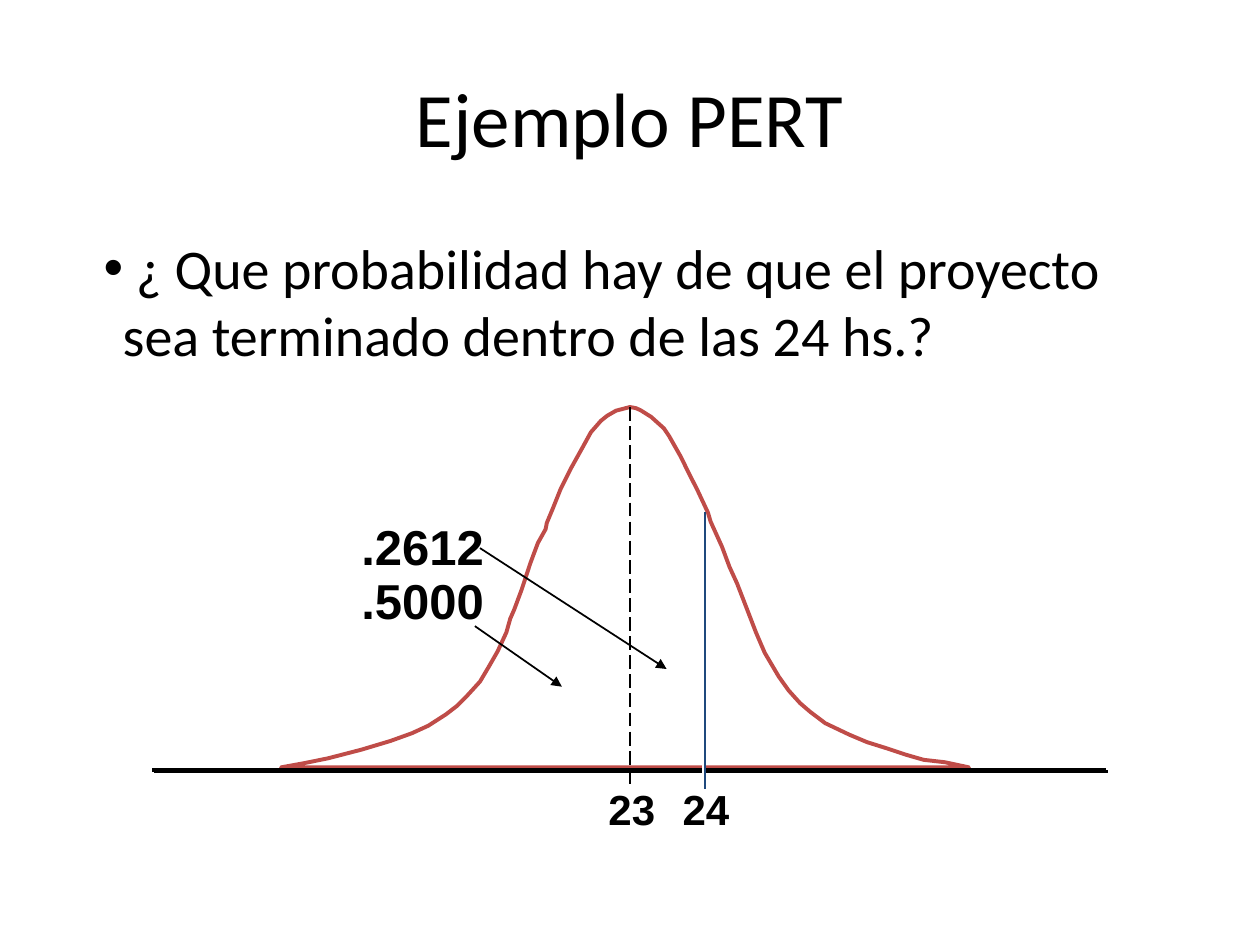
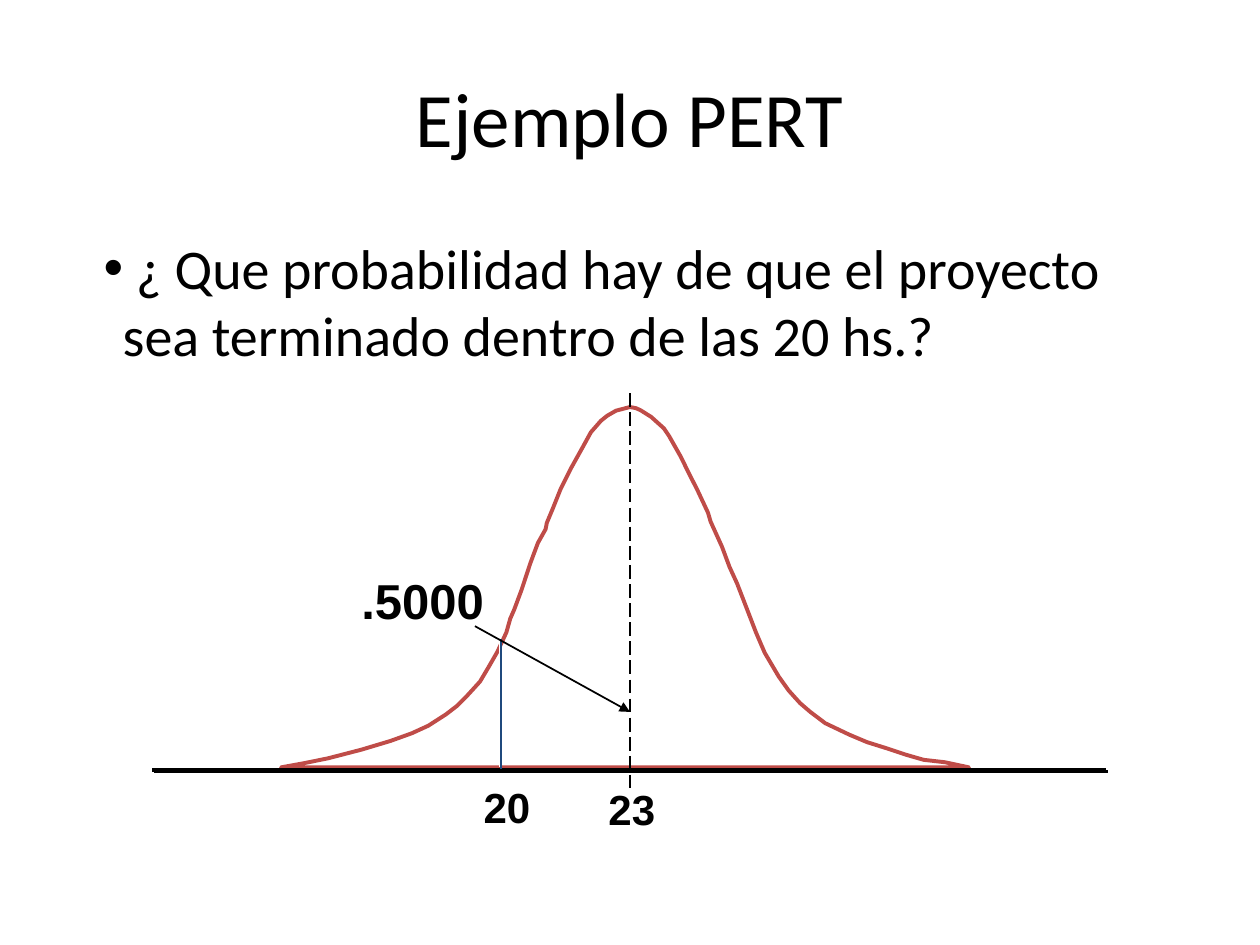
import pptx
import pptx.dml.color
import pptx.enum.dml
import pptx.enum.shapes
import pptx.enum.text
import pptx.oxml
import pptx.oxml.ns
import pptx.util
from dataclasses import dataclass


@dataclass(frozen=True)
class Theme:
    black: str = "000000"
    white: str = "FFFFFF"
    curve: str = "BF4C48"
    shadow: str = "1F497D"
    text_font: str = "Calibri"
    label_font: str = "Arial"
    title_size: float = 44
    question_size: float = 32
    value_size: float = 28
    hour_size: float = 24
    thin: float = 1
    thick: float = 2.25


THEME = Theme()
TITLE = "Ejemplo PERT"
QUESTION = " ¿ Que probabilidad hay de que el proyecto sea terminado dentro de las {} hs.?"
TITLE_BOX = (36, 21.6, 648, 90)
QUESTION_BOX = (36, 126, 648, 356.4)
HOUR_SIZE = (41.8, 36)
VALUE_SIZE = (85.7, 41)
VALUE_LEFT = 199.4
MEAN_X, MEAN_BOTTOM = 360, 450
AXIS = ((87.1, 439.9), (632.2, 439.9))

SLIDES = [
    {
        "hours": "24",
        "mean_top": 232.6,
        "limit": ((401.8, 291.6), (401.8, 450)),
        "hour_labels": [("23", 340.6, 444.2), ("24", 383, 444.2)],
        "probabilities": [(".5000", 322.6), (".2612", 291.6)],
        "arrows": [((271.4, 357.8), (321.1, 392.4)), ((274.3, 313.2), (380.9, 382.3))],
    },
    {
        "hours": "20",
        "mean_top": 224.6,
        "limit": ((285.5, 364.3), (285.5, 438.5)),
        "hour_labels": [("23", 340.6, 444.2), ("20", 269.3, 442.8)],
        "probabilities": [(".5000", 322.6)],
        "arrows": [((271.4, 357.8), (360, 406.8))],
    },
]

LEFT_FLANK = [
    (360, 232.6), (352, 234.7), (347, 237.6), (343.4, 240.5), (337.7, 247),
    (332.6, 256.3), (326.2, 267.8), (320.4, 279.4), (316.1, 290.2), (312.5, 298.8),
    (311.8, 302.4), (307.4, 310.3), (303.1, 321.8), (298.1, 337), (293.8, 348.5),
    (291.6, 353.5), (289.4, 361.4), (284.4, 372.2), (279.4, 380.9), (274.3, 389.5),
    (267.1, 397.4), (261.4, 403.2), (254.9, 408.2), (244.8, 414.7), (235.4, 419),
    (223.2, 423.4), (206.6, 428.4), (187.2, 433.4), (172.8, 436.3), (160.6, 438.5),
]
RIGHT_FLANK = [
    (553.7, 438.5), (540, 435.6), (527.8, 434.2), (517.7, 431.3), (506.9, 427.7),
    (495.4, 424.1), (485.3, 419.8), (471.6, 413.3), (463, 406.8), (457.2, 401.8),
    (450.7, 394.6), (445, 386.6), (437, 373), (432, 361.4), (426.2, 346.3),
    (421.2, 333.4), (416.9, 324), (412.6, 312.5), (406.1, 298.1), (404.6, 293),
    (398.9, 280.8), (393.1, 269.3), (388.8, 260.6), (382.3, 249.1), (379.4, 244.8),
    (372.2, 238.3), (366.5, 234.7), (363.6, 233.3),
]


def points(values):
    return [pptx.util.Pt(value) for value in values]


def color(value):
    return pptx.dml.color.RGBColor.from_string(value)


def add_xml(parent, tag, **attributes):
    """Append a drawing element to parent and return it."""
    element = pptx.oxml.parse_xml(f"<a:{tag} {pptx.oxml.ns.nsdecls('a')}/>")
    for name, value in attributes.items():
        element.set(name, str(value))
    parent.append(element)
    return element


def format_font(font, name, size, bold=False):
    formats = {"name": name, "size": pptx.util.Pt(size), "bold": bold}
    for attribute, value in formats.items():
        setattr(font, attribute, value)
    font.color.rgb = color(THEME.black)


def format_frame(frame, inset_y, **formats):
    margins = {
        "margin_left": pptx.util.Pt(7.2),
        "margin_right": pptx.util.Pt(7.2),
        "margin_top": pptx.util.Pt(inset_y),
        "margin_bottom": pptx.util.Pt(inset_y),
    }
    for attribute, value in {**margins, **formats}.items():
        setattr(frame, attribute, value)


def add_title(slide):
    title = slide.shapes.title
    title.left, title.top, title.width, title.height = points(TITLE_BOX)
    format_frame(title.text_frame, 7.2,
                 vertical_anchor=pptx.enum.text.MSO_ANCHOR.MIDDLE)
    paragraph = title.text_frame.paragraphs[0]
    paragraph.text = TITLE
    paragraph.alignment = pptx.enum.text.PP_ALIGN.CENTER
    format_font(paragraph.font, THEME.text_font, THEME.title_size)


def add_question(slide, hours):
    frame = slide.shapes.add_textbox(*points(QUESTION_BOX)).text_frame
    format_frame(frame, 7.2, word_wrap=True)
    paragraph = frame.paragraphs[0]
    paragraph.text = QUESTION.format(hours)
    properties = paragraph._p.get_or_add_pPr()
    properties.set("marL", str(pptx.util.Pt(27)))
    properties.set("indent", str(pptx.util.Pt(-10.8)))
    add_xml(properties, "buFont", typeface=THEME.label_font)
    add_xml(properties, "buChar", char="•")
    format_font(paragraph.font, THEME.text_font, THEME.question_size)


def add_label(slide, text, left, top, size, font_size):
    frame = slide.shapes.add_textbox(*points((left, top, *size))).text_frame
    format_frame(frame, 3.6, word_wrap=False,
                 auto_size=pptx.enum.text.MSO_AUTO_SIZE.SHAPE_TO_FIT_TEXT)
    paragraph = frame.paragraphs[0]
    paragraph.text = text
    format_font(paragraph.font, THEME.label_font, font_size, bold=True)


def add_line(slide, start, end, line_color=THEME.black, width=THEME.thin,
             dash=None, shadow=None, arrow=False):
    connector = slide.shapes.add_connector(
        pptx.enum.shapes.MSO_CONNECTOR.STRAIGHT, *points(start + end))
    connector.line.color.rgb = color(line_color)
    connector.line.width = pptx.util.Pt(width)
    if dash:
        connector.line.dash_style = dash
    if arrow:
        add_xml(connector.line._get_or_add_ln(), "tailEnd", type="triangle")
    effects = add_xml(connector._element.spPr, "effectLst")
    if shadow:
        outer = add_xml(effects, "outerShdw", dist=pptx.util.Pt(1.4),
                        dir=45 * 60000, algn="ctr", rotWithShape=0)
        add_xml(outer, "srgbClr", val=shadow)


def add_bell_curve(slide):
    start, *rest = [points(vertex) for vertex in LEFT_FLANK + RIGHT_FLANK]
    builder = slide.shapes.build_freeform(*start, scale=1.0)
    builder.add_line_segments(rest, close=True)
    curve = builder.convert_to_shape()
    curve.shadow.inherit = False
    curve.fill.background()
    curve.line.color.rgb = color(THEME.curve)
    curve.line.width = pptx.util.Pt(THEME.thick)


def build_slide(presentation, content):
    slide = presentation.slides.add_slide(presentation.slide_layouts[5])
    add_title(slide)
    add_question(slide, content["hours"])
    add_bell_curve(slide)
    add_line(slide, *AXIS, width=THEME.thick, shadow=THEME.black)
    add_line(slide, (MEAN_X, content["mean_top"]), (MEAN_X, MEAN_BOTTOM),
             dash=pptx.enum.dml.MSO_LINE.LONG_DASH)
    add_line(slide, *content["limit"], line_color=THEME.white, shadow=THEME.shadow)
    for text, left, top in content["hour_labels"]:
        add_label(slide, text, left, top, HOUR_SIZE, THEME.hour_size)
    for text, top in content["probabilities"]:
        add_label(slide, text, VALUE_LEFT, top, VALUE_SIZE, THEME.value_size)
    for start, end in content["arrows"]:
        add_line(slide, start, end, arrow=True)


def main():
    presentation = pptx.Presentation()
    presentation.slide_width, presentation.slide_height = points((720, 540))
    for content in SLIDES:
        build_slide(presentation, content)
    presentation.save("out.pptx")


if __name__ == "__main__":
    main()
